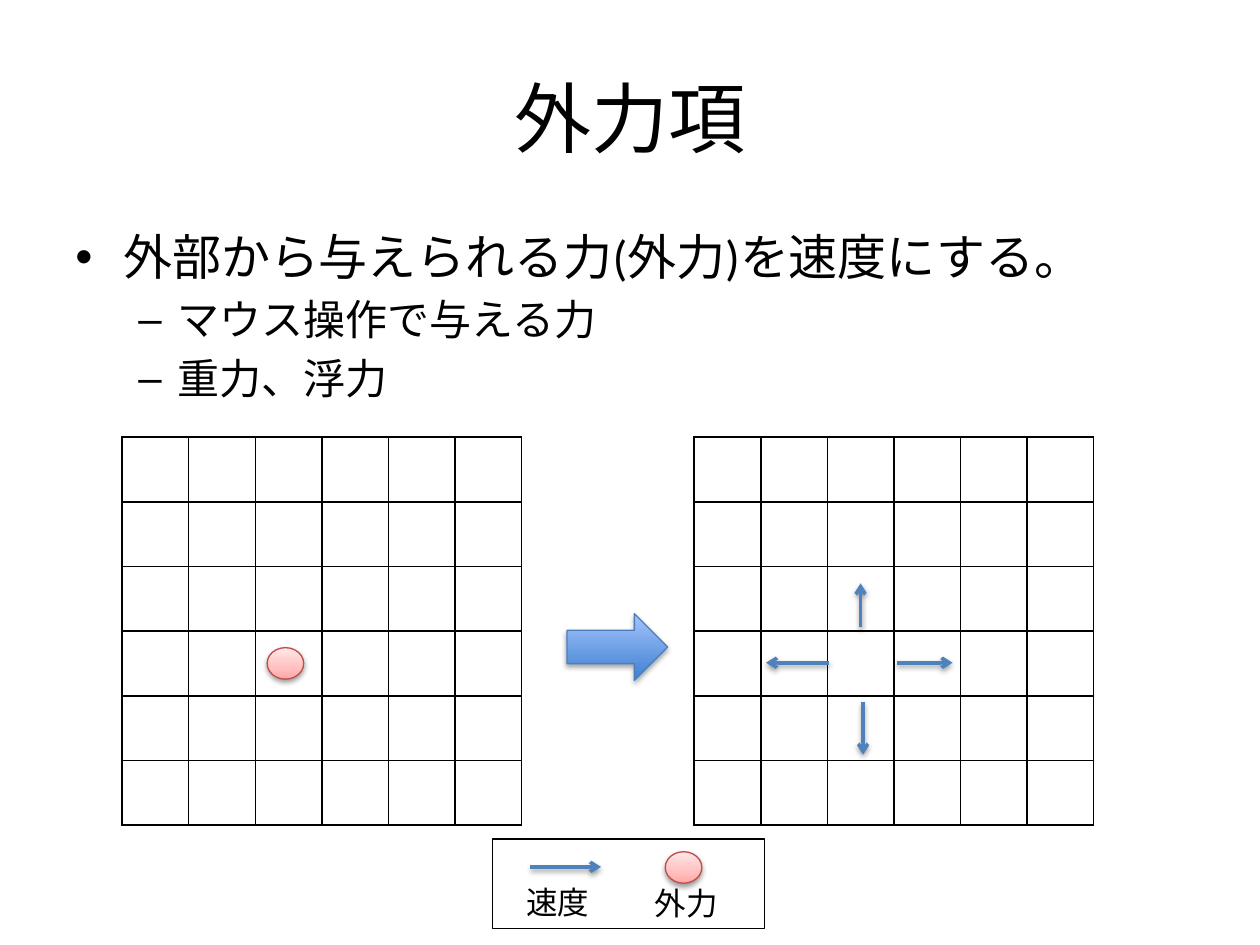
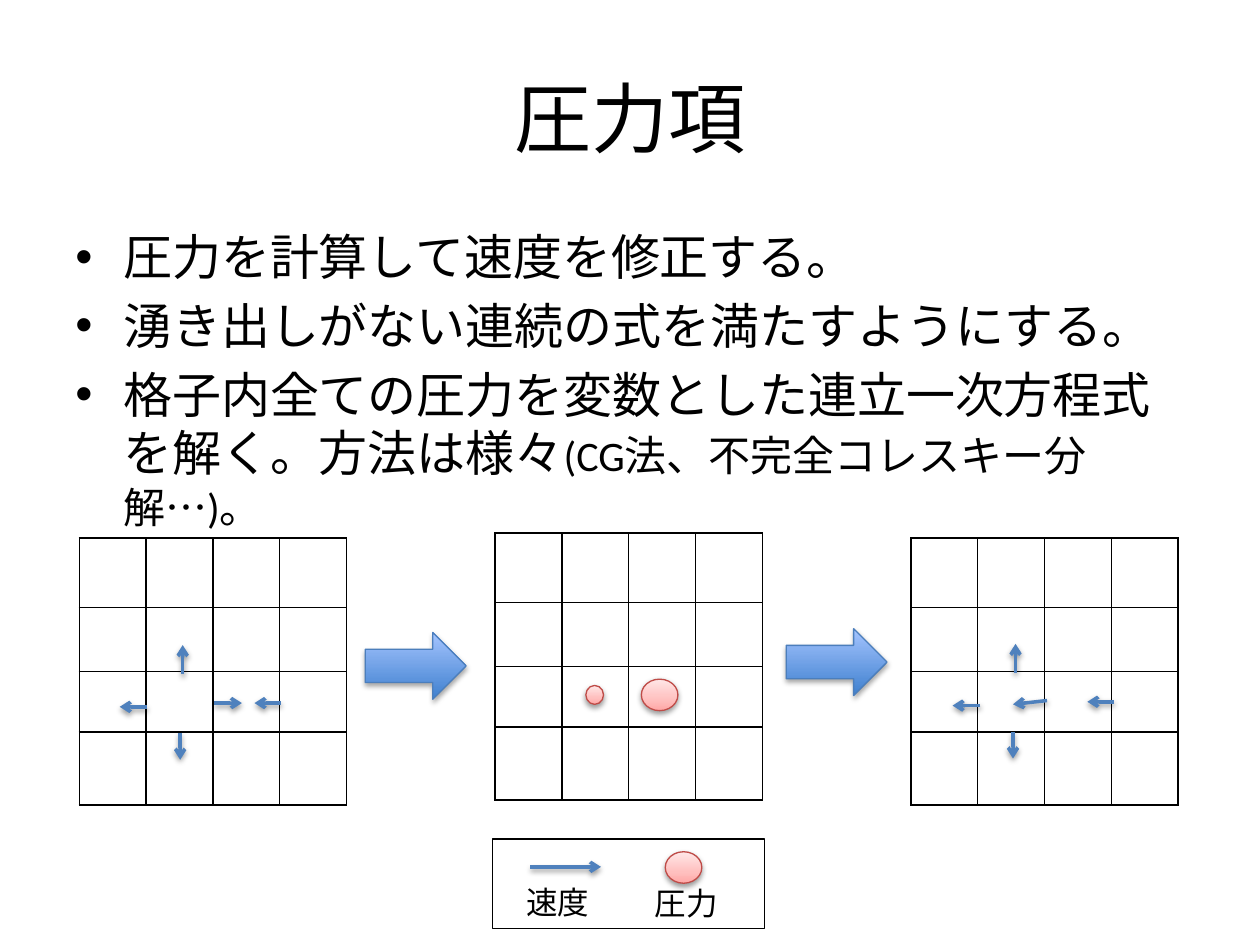
"""Build two slides on the external force and pressure terms of a grid fluid solver."""
import copy

import pptx
import pptx.dml.color
import pptx.enum.lang
import pptx.enum.shapes
import pptx.enum.text
import pptx.oxml.ns
import pptx.oxml.xmlchemy
import pptx.util

Inches = pptx.util.Inches
Pt = pptx.util.Pt
RGBColor = pptx.dml.color.RGBColor
Shape = pptx.enum.shapes.MSO_SHAPE
qn = pptx.oxml.ns.qn

FONT = "Calibri"
BLACK = RGBColor(0x00, 0x00, 0x00)
WHITE = RGBColor(0xFF, 0xFF, 0xFF)
VELOCITY_BLUE = RGBColor(0x4F, 0x81, 0xBD)
STEP_EDGE = RGBColor(0x4B, 0x7E, 0xBC)
BALL_EDGE = RGBColor(0xBF, 0x4C, 0x48)
STEP_STOPS = [(0, RGBColor(0x3F, 0x80, 0xCE)), (1, RGBColor(0xA4, 0xC4, 0xFF))]
BALL_STOPS = [
    (0, RGBColor(0xFF, 0xA6, 0xA5)),
    (0.35, RGBColor(0xFF, 0xC0, 0xBF)),
    (1, RGBColor(0xFF, 0xE7, 0xE7)),
]
BULLETS = [("•", 0.38, 0.38), ("–", 0.81, 0.31)]
PRESSURE_ROWS = [0.55, 0.51, 0.48, 0.58]


def add_node(parent, tag, **attributes):
    node = pptx.oxml.xmlchemy.OxmlElement(tag)
    for name, value in attributes.items():
        node.set(name, str(value))
    parent.append(node)
    return node


def write(para, text, size=18, color=BLACK):
    span = para.add_run()
    span.text = text
    span.font.name = FONT
    span.font.size = Pt(size)
    span.font.color.rgb = color
    span.font.language_id = pptx.enum.lang.MSO_LANGUAGE_ID.JAPANESE


def add_shadow(shape, distance=1.6, opacity=38):
    properties = shape._element.spPr
    effects = properties.find(qn("a:effectLst"))
    if effects is None:
        effects = add_node(properties, "a:effectLst")
    shadow = add_node(effects, "a:outerShdw", blurRad=Pt(3.1), dist=Pt(distance),
                      dir=90 * 60000, rotWithShape=0)
    color = add_node(shadow, "a:srgbClr", val=BLACK)
    add_node(color, "a:alpha", val=opacity * 1000)


class SlideBuilder:
    def __init__(self, deck):
        self.deck = deck
        self.page = None

    def start(self, title):
        self.page = self.deck.slides.add_slide(self.deck.slide_layouts[5])
        box = self.page.shapes.title
        box.left, box.top = Inches(0.5), Inches(0.3)
        box.width, box.height = Inches(9), Inches(1.25)
        box.text_frame.vertical_anchor = pptx.enum.text.MSO_ANCHOR.MIDDLE
        para = box.text_frame.paragraphs[0]
        para.alignment = pptx.enum.text.PP_ALIGN.CENTER
        write(para, title, size=44)

    def text_box(self, left, top, width, height):
        box = self.page.shapes.add_textbox(
            Inches(left), Inches(top), Inches(width), Inches(height))
        box.text_frame.word_wrap = True
        return box.text_frame

    def body(self, items):
        frame = self.text_box(0.5, 1.75, 9, 4.95)
        for index, (level, spans) in enumerate(items):
            para = frame.add_paragraph() if index else frame.paragraphs[0]
            para.level = level
            para.space_before = Pt(spans[0][1] * 0.2)
            mark, margin, hanging = BULLETS[level]
            properties = para._p.get_or_add_pPr()
            properties.set("marL", str(Inches(margin)))
            properties.set("indent", str(-Inches(hanging)))
            add_node(properties, "a:buFont", typeface="Arial")
            add_node(properties, "a:buChar", char=mark)
            for text, size in spans:
                write(para, text, size=size)

    def label(self, text, left, top, width):
        write(self.text_box(left, top, width, 0.4).paragraphs[0], text)

    def grid(self, left, top, width, rows, columns, filled=True):
        table = self.page.shapes.add_table(
            len(rows), columns, Inches(left), Inches(top),
            Inches(width), Inches(sum(rows))).table
        table.first_row = table.horz_banding = False
        for column in table.columns:
            column.width = Inches(width / columns)
        for row, height in zip(table.rows, rows):
            row.height = Inches(height)
        for cell in table.iter_cells():
            properties = cell._tc.get_or_add_tcPr()
            for side in ("a:lnL", "a:lnR", "a:lnT", "a:lnB"):
                border = add_node(properties, side, w=Pt(1))
                add_node(add_node(border, "a:solidFill"), "a:srgbClr", val=BLACK)
            if filled:
                cell.fill.solid()
                cell.fill.fore_color.rgb = WHITE
            else:
                cell.fill.background()

    def shape(self, kind, left, top, width, height, edge, stops=None):
        shape = self.page.shapes.add_shape(
            kind, Inches(left), Inches(top), Inches(width), Inches(height))
        shape.shadow.inherit = False
        shape.line.color.rgb = edge
        shape.line.width = Pt(0.75)
        if not stops:
            shape.fill.background()
            return shape
        shape.fill.gradient()
        shape.fill.gradient_angle = 90
        stop_list = shape._element.spPr.find(".//" + qn("a:gsLst"))
        for _ in stops[2:]:
            stop_list.append(copy.deepcopy(stop_list[0]))
        for stop, (position, color) in zip(shape.fill.gradient_stops, stops):
            stop.position = position
            stop.color.rgb = color
        return shape

    def ball(self, left, top, width=0.29, height=0.25):
        add_shadow(self.shape(Shape.OVAL, left, top, width, height, BALL_EDGE, BALL_STOPS))

    def step(self, left, top):
        shape = self.shape(Shape.RIGHT_ARROW, left, top, 0.8, 0.53, STEP_EDGE, STEP_STOPS)
        add_shadow(shape, distance=1.8, opacity=35)

    def velocity(self, x1, y1, x2, y2):
        line = self.page.shapes.add_connector(
            pptx.enum.shapes.MSO_CONNECTOR.STRAIGHT,
            Inches(x1), Inches(y1), Inches(x2), Inches(y2))
        line.line.color.rgb = VELOCITY_BLUE
        line.line.width = Pt(2)
        add_node(line.line._get_or_add_ln(), "a:tailEnd", type="arrow")
        add_shadow(line)

    def legend(self, ball_name):
        self.ball(5.28, 6.76)
        self.label(ball_name, 5.1, 6.97, 0.7)
        self.velocity(4.21, 6.88, 4.77, 6.88)
        self.label("速度", 4.08, 6.96, 0.91)
        self.shape(Shape.RECTANGLE, 3.91, 6.66, 2.16, 0.71, BLACK)


def build_force_slide(builder):
    builder.start("外力項")
    builder.body([
        (0, [("外部から与えられる力(外力)を速度にする。", 28)]),
        (1, [("マウス操作で与える力", 24)]),
        (1, [("重力、浮力", 24)]),
    ])
    for left in (0.97, 5.51):
        builder.grid(left, 3.47, 3.17, [3.08 / 6] * 6, 6)
    builder.ball(2.12, 5.14)
    for ends in ((6.83, 4.98, 6.83, 4.63), (7.12, 5.26, 7.56, 5.26),
                 (6.85, 5.57, 6.85, 5.99), (6.58, 5.26, 6.08, 5.26)):
        builder.velocity(*ends)
    builder.step(4.5, 4.87)
    builder.legend("外力")


def build_pressure_slide(builder):
    builder.start("圧力項")
    builder.body([
        (0, [("圧力を計算して速度を修正する。", 28)]),
        (0, [("湧き出しがない連続の式を満たすようにする。", 28)]),
        (0, [("格子内全ての圧力を変数とした連立一次方程式を解く。方法は様々", 28),
             ("(CG法、不完全コレスキー分解…)。", 24)]),
    ])
    for left, top, filled in ((3.93, 4.23, True), (0.63, 4.27, False), (7.23, 4.27, True)):
        builder.grid(left, top, 2.12, PRESSURE_ROWS, 4, filled)
    builder.step(2.9, 5.02)
    builder.step(6.24, 4.99)
    for shift, rise in ((0, 0), (6.61, 0.01)):
        for x1, y1, x2, y2 in ((1.17, 5.61, 0.95, 5.61), (1.45, 5.35, 1.45, 5.12),
                               (1.43, 5.82, 1.43, 6.03), (2.23, 5.58, 2.02, 5.58)):
            builder.velocity(x1 + shift, y1 - rise, x2 + shift, y2 - rise)
    builder.velocity(1.7, 5.58, 1.92, 5.58)
    builder.velocity(8.31, 5.56, 8.04, 5.59)
    builder.ball(5.09, 5.39)
    builder.ball(4.65, 5.44, 0.14, 0.15)
    builder.legend("圧力")


def main():
    deck = pptx.Presentation()
    deck.slide_width, deck.slide_height = Inches(10), Inches(7.5)
    builder = SlideBuilder(deck)
    build_force_slide(builder)
    build_pressure_slide(builder)
    deck.save("out.pptx")


if __name__ == "__main__":
    main()
